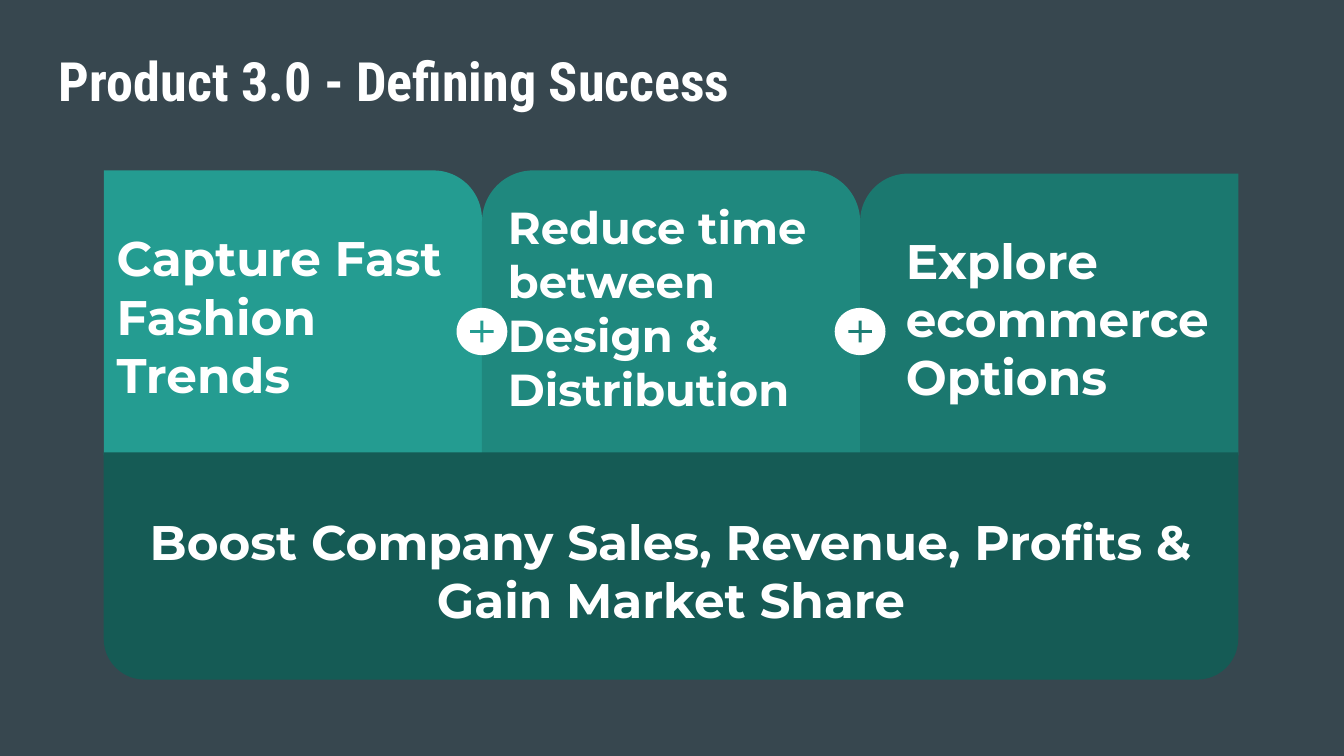
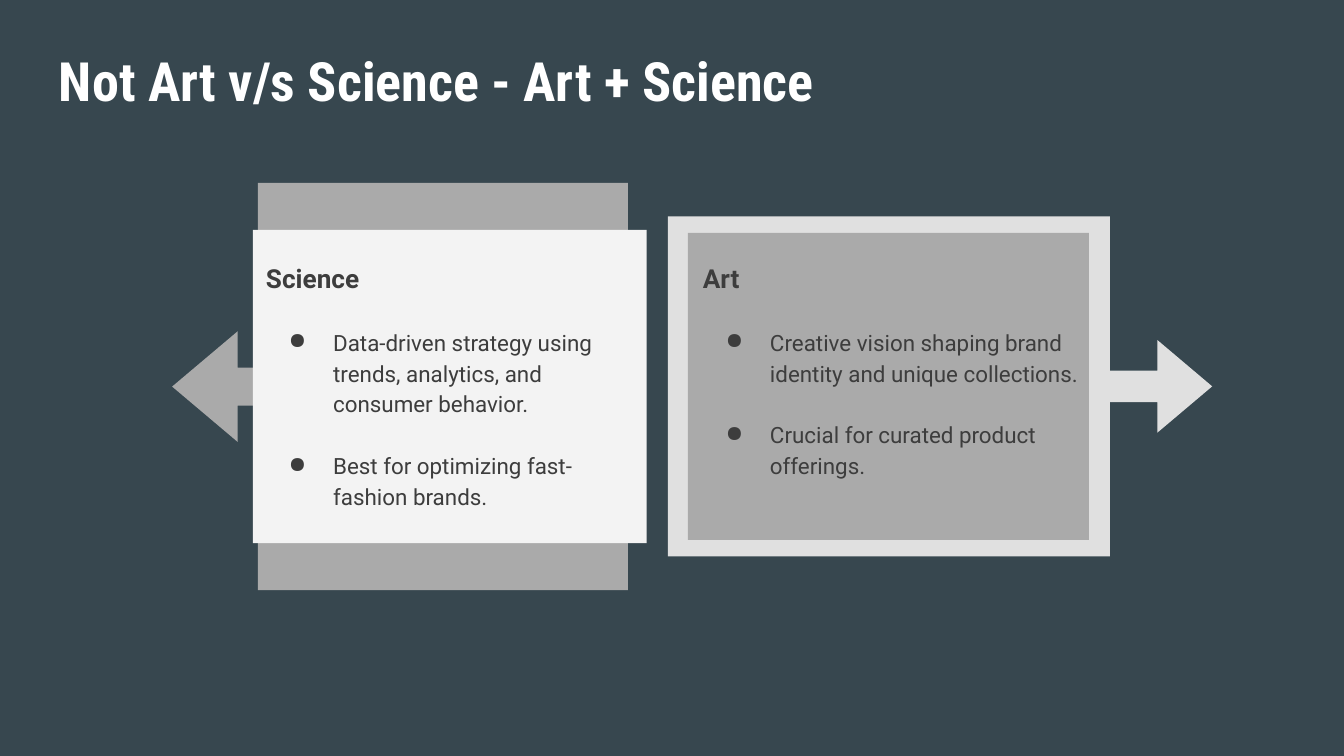
from dataclasses import dataclass

from lxml import etree
from pptx import Presentation
from pptx.dml.color import RGBColor
from pptx.enum.shapes import MSO_SHAPE
from pptx.enum.text import MSO_ANCHOR, PP_ALIGN
from pptx.oxml.ns import qn
from pptx.util import Pt

RECT = MSO_SHAPE.RECTANGLE
ONE = MSO_SHAPE.ROUND_1_RECTANGLE
TWO = MSO_SHAPE.ROUND_2_SAME_RECTANGLE
OVAL = MSO_SHAPE.OVAL
PLUS = MSO_SHAPE.MATH_PLUS
ARROW = MSO_SHAPE.RIGHT_ARROW_CALLOUT
TOP = MSO_ANCHOR.TOP
LEFT, MID = PP_ALIGN.LEFT, PP_ALIGN.CENTER


@dataclass(frozen=True)
class Theme:
    back: str = "37474F"
    white: str = "FFFFFF"
    ink: str = "3D3D3D"
    teals: tuple = ("249C91", "1F887E", "1B786F")
    signs: tuple = ("249C91", "1D7E75")
    base: str = "155B55"
    gray: str = "AAAAAA"
    pale: str = "F3F3F3"
    frame: str = "E0E0E0"
    title: tuple = ("Roboto Condensed", 29, True)
    goal: tuple = ("Montserrat", 26, True)
    tight: tuple = ("Montserrat", 24, True)
    head: tuple = ("Roboto", 14, True)
    body: tuple = ("Roboto", 12, False)


class Deck:
    def __init__(self, theme):
        self.theme = theme
        self.prs = Presentation()
        self.prs.slide_width, self.prs.slide_height = Pt(720), Pt(405)

    def page(self, title):
        self.slide = self.prs.slides.add_slide(self.prs.slide_layouts[6])
        fill = self.slide.background.fill
        fill.solid()
        fill.fore_color.rgb = RGBColor.from_string(self.theme.back)
        self.text((24.5, 18, 671, 45.4), title, self.theme.title)

    def shape(self, kind, box, color, adj=(), turn=0, flip=False):
        item = self.slide.shapes.add_shape(kind, *map(Pt, box))
        item.shadow.inherit = False
        item.fill.solid()
        item.fill.fore_color.rgb = RGBColor.from_string(color)
        item.line.fill.background()
        for i, value in enumerate(adj):
            item.adjustments[i] = value
        item.rotation = turn
        if flip:
            item.element.spPr.get_or_add_xfrm().set("flipH", "1")

    def frame(self, box):
        frame = self.slide.shapes.add_textbox(*map(Pt, box)).text_frame
        frame.word_wrap = True
        frame.vertical_anchor = TOP
        frame.margin_left = frame.margin_right = Pt(7.2)
        frame.margin_top = frame.margin_bottom = Pt(7.2)
        return frame

    def style(self, para, words, font, color):
        para.text = words
        para.font.name, para.font.size, para.font.bold = font[0], Pt(font[1]), font[2]
        para.font.color.rgb = RGBColor.from_string(color)

    def text(self, box, words, font, align=LEFT):
        para = self.frame(box).paragraphs[0]
        para.alignment = align
        self.style(para, words, font, self.theme.white)

    def points(self, box, head, items):
        """Heading with a bulleted list below it."""
        frame = self.frame(box)
        para = frame.paragraphs[0]
        para.line_spacing = 1.15
        self.style(para, head, self.theme.head, self.theme.ink)
        for item in items:
            para = frame.add_paragraph()
            para.line_spacing = 1.15
            para.space_before = Pt(16.5)
            self.bullet(para)
            self.style(para, item, self.theme.body, self.theme.ink)

    def bullet(self, para):
        props = para._p.get_or_add_pPr()
        props.set("marL", str(Pt(36)))
        props.set("indent", str(Pt(-23.8)))
        tint = etree.SubElement(props, qn("a:buClr"))
        etree.SubElement(tint, qn("a:srgbClr")).set("val", self.theme.ink)
        etree.SubElement(props, qn("a:buChar")).set("char", "●")

    def plus(self, x, y, color):
        """White disc with a plus sign, centred on x, y."""
        for kind, w, h, tint, adj in (
            (OVAL, 27.2, 25.3, self.theme.white, ()),
            (PLUS, 17.2, 15.8, color, (0.1,)),
        ):
            self.shape(kind, (x - w / 2, y - h / 2, w, h), tint, adj)


def goals(deck):
    theme = deck.theme
    deck.page("Product 3.0 - Defining Success")
    left, wide, low = 55.6, 202.6, 244
    cards = (
        (ONE, 91.3, (0.17,), False, "Capture Fast Fashion Trends",
         (55.4, 115.2, 189.4, 94.3), theme.goal),
        (TWO, 91.3, (0.18, 0), False, "Reduce time between Design & Distribution",
         (265, 100, 188.6, 135.4), theme.tight),
        (ONE, 93, (0.17,), True, "Explore ecommerce Options",
         (478.2, 116.6, 180, 102.2), theme.goal),
    )
    for i, (kind, top, adj, flip, words, box, font) in enumerate(cards):
        deck.shape(kind, (left + i * wide, top, wide, low - top),
                   theme.teals[i], adj, flip=flip)
        deck.text(box, words, font)
    for i, color in enumerate(theme.signs, 1):
        deck.plus(left + i * wide, 177.6, color)
    deck.shape(TWO, (left, 242.4, 3 * wide, 121.7), theme.base, (0, 0.18))
    deck.text((67.7, 267.1, 584, 82.8),
              "Boost Company Sales, Revenue, Profits & Gain Market Share",
              theme.goal, MID)


def sides(deck):
    theme = deck.theme
    deck.page("Not Art v/s Science - Art + Science")
    panels = (
        ((92.2, 98, 244.1, 218.2), 180, theme.gray,
         (135.5, 123.2, 211, 167.8), theme.pale,
         (135.4, 131, 216, 116), "Science",
         ("Data-driven strategy using trends, analytics, and consumer behavior.",
          "Best for optimizing fast-fashion brands.")),
        ((357.8, 115.9, 291.6, 182.2), 0, theme.frame,
         (368.6, 124.8, 214.8, 164.4), theme.gray,
         (369.4, 131, 219.6, 133.2), "Art",
         ("Creative vision shaping brand identity and unique collections.",
          "Crucial for curated product offerings.")),
    )
    for outer, turn, edge, inner, fill, box, head, items in panels:
        deck.shape(ARROW, outer, edge, (0.093, 0.136, 0.161, 0.812), turn)
        deck.shape(RECT, inner, fill)
        deck.points(box, head, items)


def main():
    deck = Deck(Theme())
    goals(deck)
    sides(deck)
    deck.prs.save("out.pptx")


if __name__ == "__main__":
    main()
